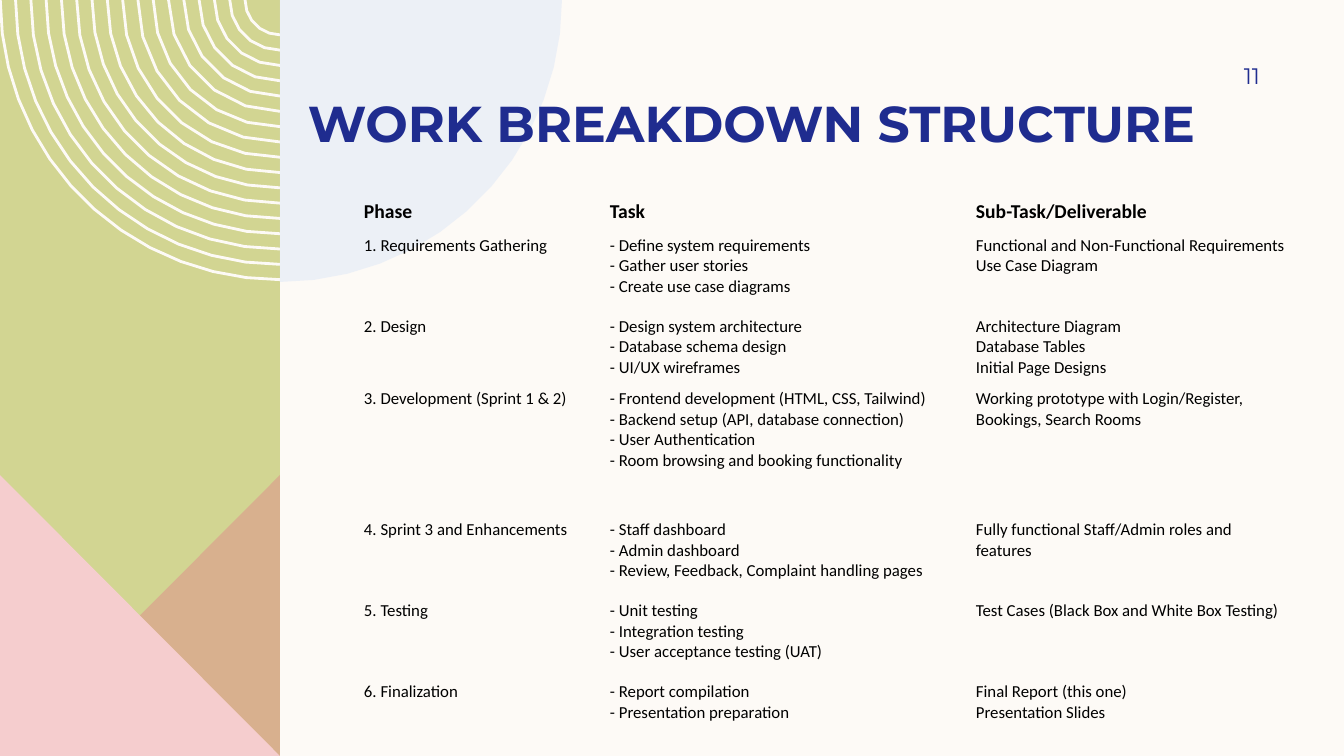
import math

import lxml.etree
import pptx
import pptx.dml.color
import pptx.enum.text
import pptx.oxml.ns
import pptx.util

EMU_PER_PX = 914400 / 100.8
FINE = 100
NO_GRID_STYLE = "{2D5ABB26-0587-4C30-8999-92F81FD0307C}"
COLORS = {
    "cream": "FDFAF6",
    "olive": "D2D592",
    "rose": "DE8C8C",
    "pink": "F5CDCE",
    "pale_blue": "DDE7F6",
    "navy": "1F2C8F",
    "black": "000000",
}
PANEL_WIDTH = 280
SLIDE_WIDTH, SLIDE_HEIGHT = 1344, 756
RING_COUNT, RING_RADIUS, RING_STEP = 17, 279.7, 15.3
COLUMN_WIDTHS = [246, 366, 327]
ROW_HEIGHTS = [31, 81, 65, 131, 81, 81, 47]
ROWS = [
    ("Phase", "Task", "Sub-Task/Deliverable"),
    ("1. Requirements Gathering",
     "- Define system requirements\n- Gather user stories\n- Create use case diagrams",
     "Functional and Non-Functional Requirements\nUse Case Diagram"),
    ("2. Design",
     "- Design system architecture\n- Database schema design\n- UI/UX wireframes",
     "Architecture Diagram\nDatabase Tables\nInitial Page Designs"),
    ("3. Development (Sprint 1 & 2)",
     "- Frontend development (HTML, CSS, Tailwind)\n"
     "- Backend setup (API, database connection)\n"
     "- User Authentication\n- Room browsing and booking functionality",
     "Working prototype with Login/Register, Bookings, Search Rooms"),
    ("4. Sprint 3 and Enhancements",
     "- Staff dashboard\n- Admin dashboard\n- Review, Feedback, Complaint handling pages",
     "Fully functional Staff/Admin roles and features"),
    ("5. Testing",
     "- Unit testing\n- Integration testing\n- User acceptance testing (UAT)",
     "Test Cases (Black Box and White Box Testing)"),
    ("6. Finalization",
     "- Report compilation\n- Presentation preparation",
     "Final Report (this one)\nPresentation Slides"),
]


def px(length):
    return pptx.util.Emu(round(length * EMU_PER_PX))


def rgb(name):
    return pptx.dml.color.RGBColor.from_string(COLORS[name])


def format_text(text_frame, size, font_name, color, bold=False, alignment=None):
    for paragraph in text_frame.paragraphs:
        paragraph.alignment = alignment
        for run in paragraph.runs:
            run.font.size = pptx.util.Pt(size)
            run.font.name = font_name
            run.font.bold = bold
            run.font.color.rgb = rgb(color)


def set_margins(target, left, top, right, bottom):
    target.margin_left, target.margin_top = px(left), px(top)
    target.margin_right, target.margin_bottom = px(right), px(bottom)


def place(shape, left, top, width, height):
    shape.left, shape.top = px(left), px(top)
    shape.width, shape.height = px(width), px(height)


def quarter_arc(radius, start, end):
    segments = max(5, round(radius / 22))
    angles = [math.radians(start + (end - start) * step / segments)
              for step in range(segments + 1)]
    return [(PANEL_WIDTH + radius * math.cos(angle), radius * math.sin(angle))
            for angle in angles]


def build_outline(slide, contours, close):
    contours = [[(x * FINE, y * FINE) for x, y in contour] for contour in contours]
    builder = slide.shapes.build_freeform(*contours[0][0], scale=EMU_PER_PX / FINE)
    for index, contour in enumerate(contours):
        if index:
            builder.move_to(*contour[0])
        builder.add_line_segments(contour[1:], close=close)
    shape = builder.convert_to_shape()
    shape.shadow.inherit = False
    return shape


def add_area(slide, points, color, opacity=100):
    shape = build_outline(slide, [points], True)
    shape.fill.solid()
    shape.fill.fore_color.rgb = rgb(color)
    shape.line.fill.background()
    if opacity < 100:
        fill_color = shape.element.spPr.find(".//" + pptx.oxml.ns.qn("a:srgbClr"))
        alpha = lxml.etree.SubElement(fill_color, pptx.oxml.ns.qn("a:alpha"))
        alpha.set("val", str(opacity * 1000))


def add_rings(slide):
    arcs = [quarter_arc(RING_RADIUS - RING_STEP * index, 180, 90)
            for index in range(RING_COUNT)]
    rings = build_outline(slide, arcs, False)
    rings.fill.background()
    rings.line.color.rgb = rgb("cream")
    rings.line.width = pptx.util.Pt(2)


def add_decoration(slide):
    triangle_top = SLIDE_HEIGHT - PANEL_WIDTH - 1
    bottom_left, bottom_right = (0, SLIDE_HEIGHT), (PANEL_WIDTH, SLIDE_HEIGHT)
    add_area(slide, [(0, 0), (PANEL_WIDTH, 0), bottom_right, bottom_left], "olive")
    add_rings(slide)
    add_area(slide, [(PANEL_WIDTH, triangle_top), bottom_right, bottom_left], "rose", 50)
    add_area(slide, [(0, triangle_top), bottom_right, bottom_left], "pink")
    add_area(slide, [(PANEL_WIDTH, 0)] + quarter_arc(282, 0, 90), "pale_blue", 50)


def add_title(slide, text):
    title = slide.shapes.title
    title.element.getparent().append(title.element)
    place(title, 298, 43, 946, 110)
    text_frame = title.text_frame
    text_frame.text = text
    text_frame.word_wrap = True
    text_frame.auto_size = pptx.enum.text.MSO_AUTO_SIZE.NONE
    text_frame.vertical_anchor = pptx.enum.text.MSO_ANCHOR.BOTTOM
    set_margins(text_frame, 10, 0, 10, 0)
    format_text(text_frame, 36, "Montserrat", "navy", True, pptx.enum.text.PP_ALIGN.LEFT)


def add_slide_number(slide, text):
    box = slide.shapes.add_textbox(px(1142), px(50), px(118), px(52))
    text_frame = box.text_frame
    text_frame.text = text
    text_frame.word_wrap = True
    text_frame.vertical_anchor = pptx.enum.text.MSO_ANCHOR.MIDDLE
    set_margins(text_frame, 10, 5, 0, 5)
    format_text(text_frame, 16, "Montserrat", "navy", alignment=pptx.enum.text.PP_ALIGN.RIGHT)


def add_breakdown_table(slide):
    frame = slide.shapes.add_table(len(ROWS), len(COLUMN_WIDTHS), px(358), px(194),
                                   px(sum(COLUMN_WIDTHS)), px(sum(ROW_HEIGHTS)))
    frame.element.find(".//" + pptx.oxml.ns.qn("a:tableStyleId")).text = NO_GRID_STYLE
    table = frame.table
    table.first_row = False
    table.horz_banding = False
    for column, width in zip(table.columns, COLUMN_WIDTHS):
        column.width = px(width)
    for row_index, (row, height) in enumerate(zip(table.rows, ROW_HEIGHTS)):
        row.height = px(height)
        is_header = row_index == 0
        for cell, text in zip(row.cells, ROWS[row_index]):
            cell.text_frame.text = text
            cell.fill.background()
            set_margins(cell, 6, 6, 6, 6)
            format_text(cell.text_frame, 14 if is_header else 12, "Calibri", "black", is_header)


def main():
    presentation = pptx.Presentation()
    presentation.slide_width = px(SLIDE_WIDTH)
    presentation.slide_height = px(SLIDE_HEIGHT)
    slide = presentation.slides.add_slide(presentation.slide_layouts[5])
    slide.background.fill.solid()
    slide.background.fill.fore_color.rgb = rgb("cream")
    add_decoration(slide)
    add_title(slide, "WORK BREAKDOWN STRUCTURE")
    add_slide_number(slide, "11")
    add_breakdown_table(slide)
    presentation.save("out.pptx")


if __name__ == "__main__":
    main()
